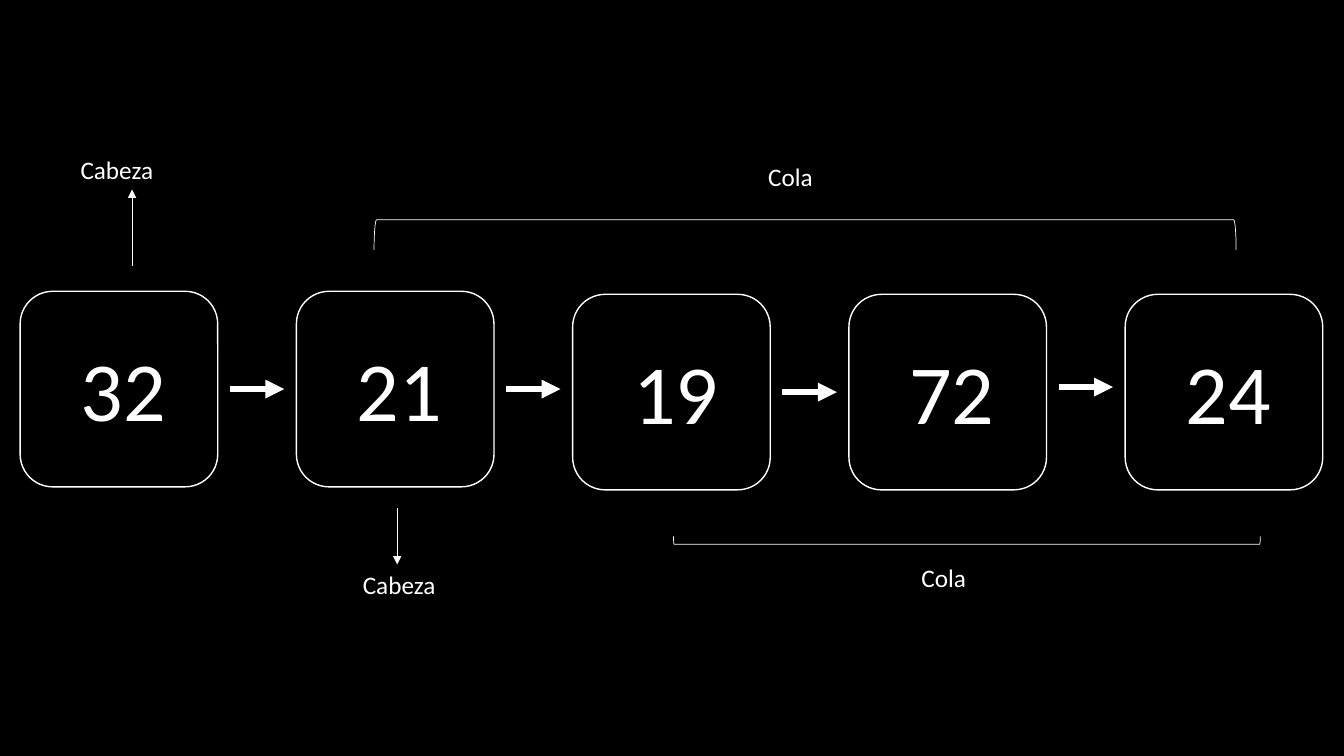
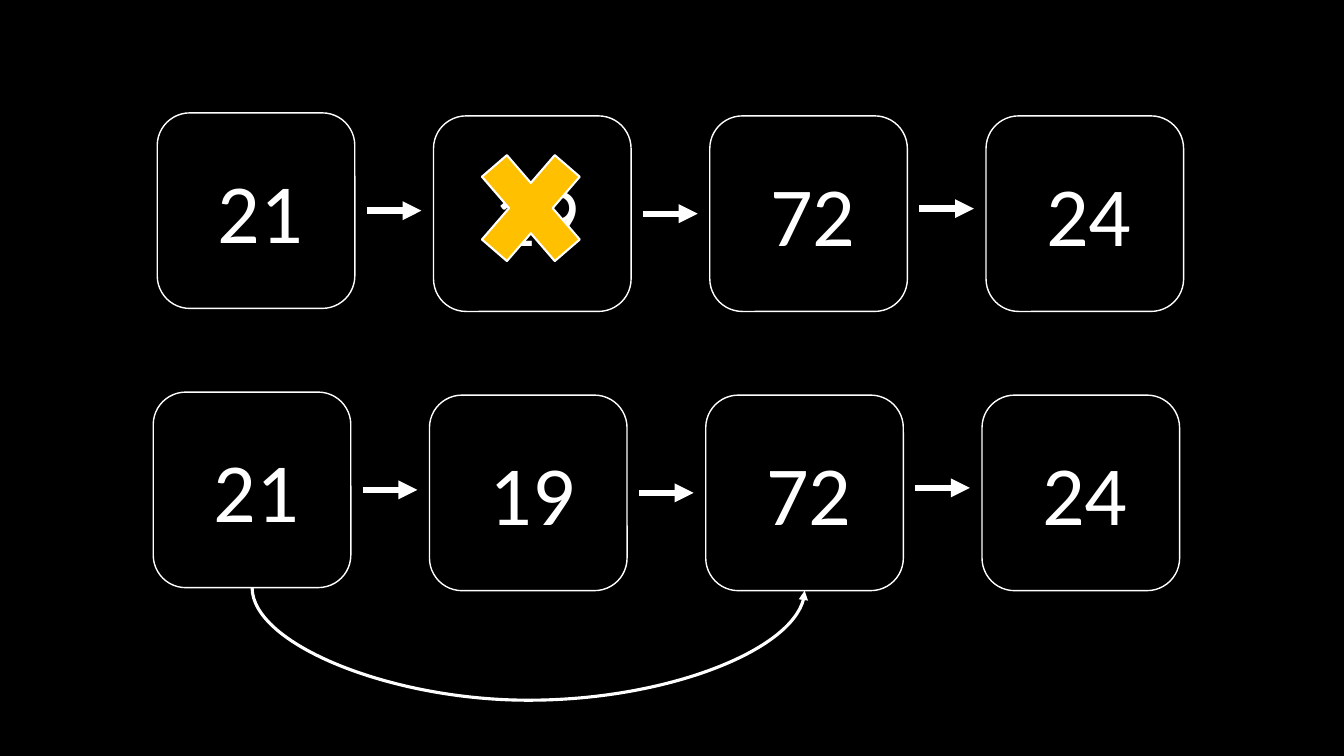
from dataclasses import dataclass
from typing import Any, Optional

from lxml.etree import SubElement
from pptx import Presentation
from pptx.dml.color import RGBColor
from pptx.enum.shapes import MSO_CONNECTOR, MSO_SHAPE
from pptx.enum.text import MSO_AUTO_SIZE
from pptx.oxml.ns import qn
from pptx.util import Emu, Pt

STRAIGHT = MSO_CONNECTOR.STRAIGHT
CURVE = MSO_CONNECTOR.CURVE
ROUNDED = MSO_SHAPE.ROUNDED_RECTANGLE
BRACKET = MSO_SHAPE.LEFT_BRACKET
CROSS = MSO_SHAPE.MATH_MULTIPLY
FIT_TEXT = MSO_AUTO_SIZE.SHAPE_TO_FIT_TEXT

EMU_PER_PX = 9144
SLIDE_W, SLIDE_H = 1333, 750
NODE_W, NODE_H = 196, 194
NODE_PITCH = 274
VALUE_DX, VALUE_DY, VALUE_W, VALUE_H = 50, 41, 135, 111
ARROW_DX, ARROW_DY, ARROW_W = 208, 97, 54
NODE_DROP = 3
LAST_ARROW_LIFT = 5
LABEL_W, LABEL_H = 122, 40
CURVE_DEPTH = 112
BOTTOM = 2


@dataclass(frozen=True)
class Theme:
    font: str = "Calibri"
    background: RGBColor = RGBColor(0x00, 0x00, 0x00)
    ink: RGBColor = RGBColor(0xFF, 0xFF, 0xFF)
    accent: RGBColor = RGBColor(0xFF, 0xC0, 0x00)
    value_size: float = 60
    label_size: float = 18
    thin: float = 0.5
    outline: float = 1
    cross: float = 1.5
    jump: float = 2.25
    link: float = 4.5


@dataclass(frozen=True)
class NodeRow:
    left: int
    top: int
    values: tuple[str, ...]
    level: int


@dataclass(frozen=True)
class Label:
    text: str
    left: int
    top: int


@dataclass(frozen=True)
class Bracket:
    left: int
    top: int
    width: int
    height: int
    rotation: int


THEME = Theme()
FULL_LIST = NodeRow(20, 289, ("32", "21", "19", "72", "24"), 2)
DELETED_LIST = NodeRow(156, 112, ("21", "19", "72", "24"), 1)
RELINKED_LIST = NodeRow(152, 389, ("21", "19", "72", "24"), 1)
FIRST_HEAD = Label("Cabeza", 70, 148)
SECOND_HEAD = Label("Cabeza", 350, 560)
TAILS = (Label("Cola", 752, 155), Label("Cola", 904, 553))
BRACKETS = (Bracket(371, 218, 855, 30, 90), Bracket(668, 532, 582, 8, 270))


def px(value: float) -> Emu:
    return Emu(round(value * EMU_PER_PX))


def style_line(sp: Any, width: float) -> None:
    sp.line.color.rgb = THEME.ink
    sp.line.width = Pt(width)


def add_text(shapes: Any, text: str, x: int, y: int, w: int, h: int, size: float) -> Any:
    sp = shapes.add_textbox(px(x), px(y), px(w), px(h))
    tf = sp.text_frame
    tf.word_wrap = True
    tf.auto_size = FIT_TEXT
    p = tf.paragraphs[0]
    p.text = text
    p.font.name = THEME.font
    p.font.size = Pt(size)
    p.font.color.rgb = THEME.ink
    return sp


def add_outline(
    shapes: Any, kind: Any, x: float, y: float, w: int, h: int, width: float,
    fill: Optional[RGBColor] = None,
) -> Any:
    sp = shapes.add_shape(kind, px(x), px(y), px(w), px(h))
    sp.shadow.inherit = False
    if fill is None:
        sp.fill.background()
    else:
        sp.fill.solid()
        sp.fill.fore_color.rgb = fill
    style_line(sp, width)
    return sp


def finish_arrow(cxn: Any, width: float) -> None:
    style_line(cxn, width)
    properties = cxn.element.spPr
    SubElement(properties.find(qn("a:ln")), qn("a:tailEnd"), type="triangle")
    SubElement(properties, qn("a:effectLst"))


def add_arrow(shapes: Any, x1: int, y1: int, x2: int, y2: int, width: float) -> Any:
    cxn = shapes.add_connector(STRAIGHT, px(x1), px(y1), px(x2), px(y2))
    finish_arrow(cxn, width)
    return cxn


def add_node(shapes: Any, value: str, x: int, y: int) -> Any:
    group = shapes.add_group_shape()
    add_text(group.shapes, value, x + VALUE_DX, y + VALUE_DY, VALUE_W, VALUE_H, THEME.value_size)
    return add_outline(group.shapes, ROUNDED, x, y, NODE_W, NODE_H, THEME.outline)


def add_row(shapes: Any, row: NodeRow) -> list[Any]:
    nodes = []
    last_link = len(row.values) - 2
    for i, value in enumerate(row.values):
        x = row.left + i * NODE_PITCH
        y = row.top + (NODE_DROP if i >= row.level else 0)
        nodes.append(add_node(shapes, value, x, y))
        if i <= last_link:
            arrow_y = y + ARROW_DY - (LAST_ARROW_LIFT if i == last_link else 0)
            start = x + ARROW_DX
            add_arrow(shapes, start, arrow_y, start + ARROW_W, arrow_y, THEME.link)
    return nodes


def add_label(shapes: Any, label: Label) -> Any:
    return add_text(
        shapes, label.text, label.left, label.top, LABEL_W, LABEL_H, THEME.label_size
    )


def add_bracket(shapes: Any, bracket: Bracket) -> None:
    shift = (bracket.width - bracket.height) / 2
    sp = add_outline(
        shapes, BRACKET, bracket.left + shift, bracket.top - shift,
        bracket.height, bracket.width, THEME.thin,
    )
    sp.rotation = bracket.rotation


def add_jump(shapes: Any, source: Any, target: Any) -> None:
    x1, y1 = source.left + source.width // 2, source.top + source.height
    x2, y2 = target.left + target.width // 2, target.top + target.height
    cxn = shapes.add_connector(CURVE, x1, y1, x2, y2)
    cxn.begin_connect(source, BOTTOM)
    cxn.end_connect(target, BOTTOM)
    span, drop = x2 - x1, y2 - y1
    cxn.left, cxn.top = Emu((x1 + x2 - drop) // 2), Emu((y1 + y2 - span) // 2)
    cxn.width, cxn.height = Emu(drop), Emu(span)
    properties = cxn.element.spPr
    xfrm = properties.find(qn("a:xfrm"))
    xfrm.set("rot", str(270 * 60000))
    xfrm.set("flipH", "1")
    guides = properties.find(qn("a:prstGeom")).find(qn("a:avLst"))
    ratio = round(px(CURVE_DEPTH) / drop * 100000)
    SubElement(guides, qn("a:gd"), name="adj1", fmla=f"val {ratio}")
    finish_arrow(cxn, THEME.jump)


def build_head_and_tail(shapes: Any) -> None:
    add_row(shapes, FULL_LIST)
    head = add_label(shapes, FIRST_HEAD)
    add_arrow(shapes, 131, 264, 131, 188, THEME.thin).end_connect(head, BOTTOM)
    add_label(shapes, SECOND_HEAD)
    add_arrow(shapes, 394, 504, 394, 560, THEME.thin)
    for bracket in BRACKETS:
        add_bracket(shapes, bracket)
    for tail in TAILS:
        add_label(shapes, tail)


def build_deletion(shapes: Any) -> None:
    add_row(shapes, DELETED_LIST)
    add_outline(shapes, CROSS, 457, 126, 139, 161, THEME.cross, THEME.accent)
    nodes = add_row(shapes, RELINKED_LIST)
    add_jump(shapes, nodes[0], nodes[2])


def main() -> None:
    prs = Presentation()
    prs.slide_width, prs.slide_height = px(SLIDE_W), px(SLIDE_H)
    fill = prs.slide_master.background.fill
    fill.solid()
    fill.fore_color.rgb = THEME.background
    for build in (build_head_and_tail, build_deletion):
        build(prs.slides.add_slide(prs.slide_layouts[6]).shapes)
    prs.save("out.pptx")


if __name__ == "__main__":
    main()
